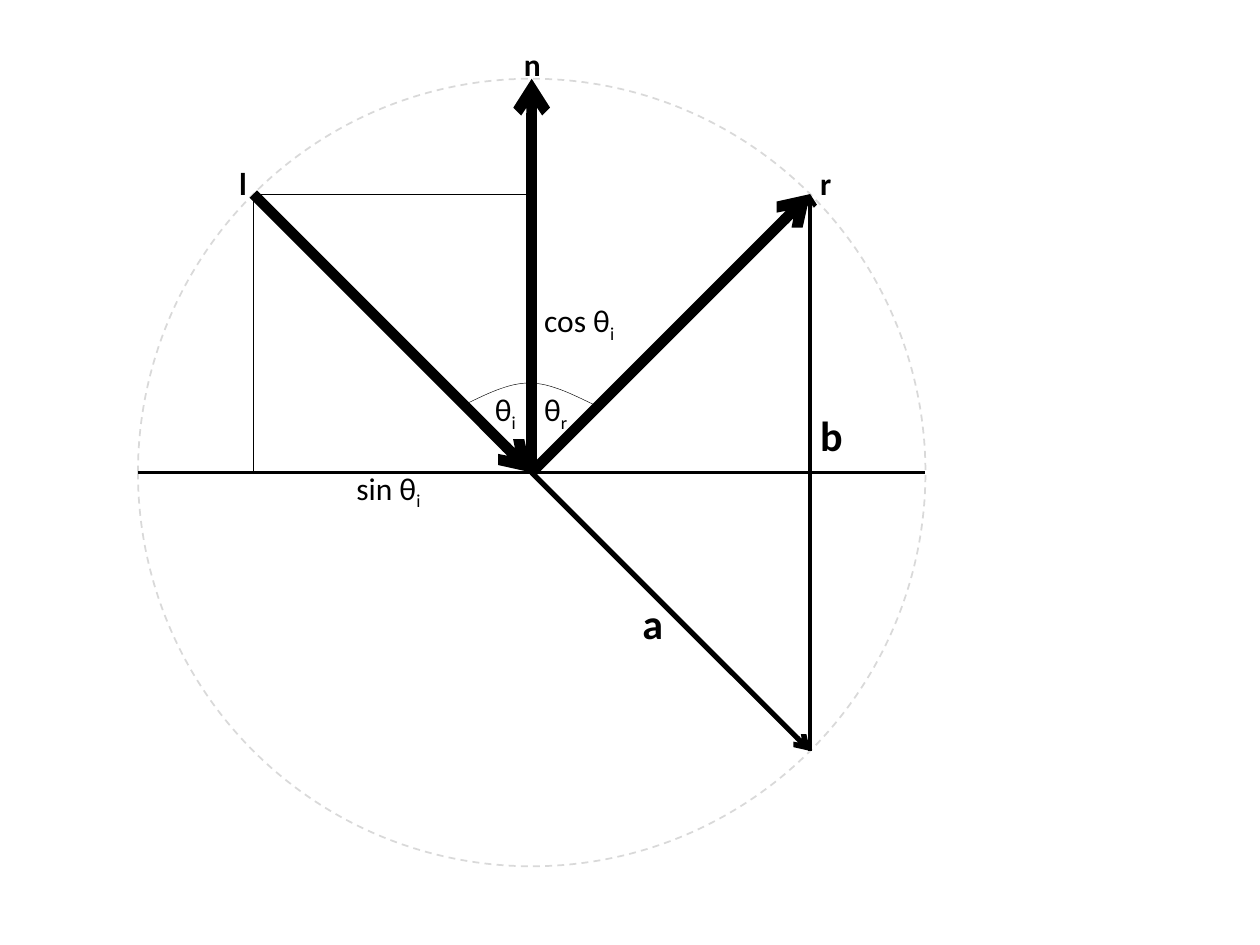
"""Draw the law of reflection on a unit circle."""
from dataclasses import dataclass
from math import sqrt

from lxml import etree
from pptx import Presentation
from pptx.dml.color import RGBColor
from pptx.enum.dml import MSO_LINE
from pptx.enum.shapes import MSO_CONNECTOR, MSO_SHAPE
from pptx.enum.text import MSO_AUTO_SIZE
from pptx.oxml.ns import qn
from pptx.util import Inches, Pt

DASH = MSO_LINE.DASH
LINE = MSO_CONNECTOR.STRAIGHT
OVAL = MSO_SHAPE.OVAL
FIT = MSO_AUTO_SIZE.SHAPE_TO_FIT_TEXT

COLS, ROWS = 100, 75
MID_X, MID_Y, RADIUS = 42.2, 37.5, 31.25
DIAG = sqrt(0.5)
STEPS = 16


@dataclass(frozen=True)
class Theme:
    font: str = "Calibri"
    ink: RGBColor = RGBColor(0, 0, 0)
    pale: RGBColor = RGBColor(0xD9, 0xD9, 0xD9)
    small: int = 18
    large: int = 24
    hair: float = 0.25
    thin: float = 1
    base: float = 1.5
    side: float = 2.25
    mid: float = 3
    bold: float = 6


THEME = Theme()


def cell(count):
    return Inches(count * 0.1)


def point(x, y):
    return cell(MID_X + x * RADIUS), cell(MID_Y - y * RADIUS)


def pen(shape, width, color=THEME.ink):
    shape.line.width = Pt(width)
    shape.line.color.rgb = color


def ray(slide, start, end, width, arrow=False):
    link = slide.shapes.add_connector(LINE, *point(*start), *point(*end))
    pen(link, width)
    if arrow:
        tip = etree.SubElement(link.line._get_or_add_ln(), qn("a:tailEnd"))
        tip.set("type", "arrow")
    etree.SubElement(link._element.spPr, qn("a:effectLst"))


def ring(slide):
    left, top = point(-1, 1)
    size = cell(2 * RADIUS)
    oval = slide.shapes.add_shape(OVAL, left, top, size, size)
    oval.shadow.inherit = False
    oval.fill.background()
    pen(oval, THEME.thin, THEME.pale)
    oval.line.dash_style = DASH


def curve(nodes, t):
    parts = ((1 - t) ** 3, 3 * t * (1 - t) ** 2, 3 * t * t * (1 - t), t ** 3)
    return tuple(sum(p * n for p, n in zip(parts, axis))
                 for axis in zip(*nodes))


def arc(slide):
    nodes = ((36.9, 32.1), (38.6, 31.3), (40.3, 30.4), (42, 30.4))
    half = [curve(nodes, i / STEPS) for i in range(STEPS + 1)]
    full = half + [(84 - x, y) for x, y in half[-2::-1]]
    dots = [(cell(x), cell(y)) for x, y in full]
    path = slide.shapes.build_freeform(*dots[0])
    path.add_line_segments(dots[1:], close=False)
    shape = path.convert_to_shape()
    shape.shadow.inherit = False
    shape.fill.background()
    pen(shape, THEME.hair)


def label(slide, text, x, y, width, size=THEME.small, sub=None):
    high = 5 if size == THEME.large else 4
    box = slide.shapes.add_textbox(cell(x), cell(y), cell(width), cell(high))
    frame = box.text_frame
    frame.word_wrap = False
    frame.auto_size = FIT
    para = frame.paragraphs[0]
    para.font.name = THEME.font
    para.font.size = Pt(size)
    para.font.bold = sub is None
    para.font.color.rgb = THEME.ink
    para.add_run().text = text
    if sub:
        run = para.add_run()
        run.text = sub
        run.font._element.set("baseline", "-25000")


def main():
    deck = Presentation()
    deck.slide_width, deck.slide_height = cell(COLS), cell(ROWS)
    slide = deck.slides.add_slide(deck.slide_layouts[6])

    core, left, right = (0, 0), (-DIAG, DIAG), (DIAG, DIAG)
    low = (DIAG, -DIAG)
    ring(slide)
    for start, end, width, arrow in (
        (core, (0, 1), THEME.bold, True),
        ((-1, 0), (1, 0), THEME.base, False),
        (left, core, THEME.bold, True),
        (core, low, THEME.mid, True),
        (left, (0, DIAG), THEME.hair, False),
        ((-DIAG, 0), left, THEME.hair, False),
        (core, right, THEME.bold, True),
        (low, right, THEME.side, True),
    ):
        ray(slide, start, end, width, arrow)
    arc(slide)

    for text, x, y, width, size in (
        ("l", 18, 12.5, 2.6, THEME.small),
        ("n", 40.6, 3.1, 3.4, THEME.small),
        ("r", 64.1, 12.5, 2.9, THEME.small),
        ("a", 50, 46.9, 3.7, THEME.large),
        ("b", 64.1, 32, 3.8, THEME.large),
    ):
        label(slide, text, x, y, width, size)
    for text, sub, x, y, width in (
        ("θ", "i", 38.3, 30.5, 3.8),
        ("θ", "r", 42.2, 30.5, 3.9),
        ("sin θ", "i", 27.3, 36.7, 7.4),
        ("cos θ", "i", 42.2, 23.4, 7.9),
    ):
        label(slide, text, x, y, width, sub=sub)
    deck.save("out.pptx")


main()
